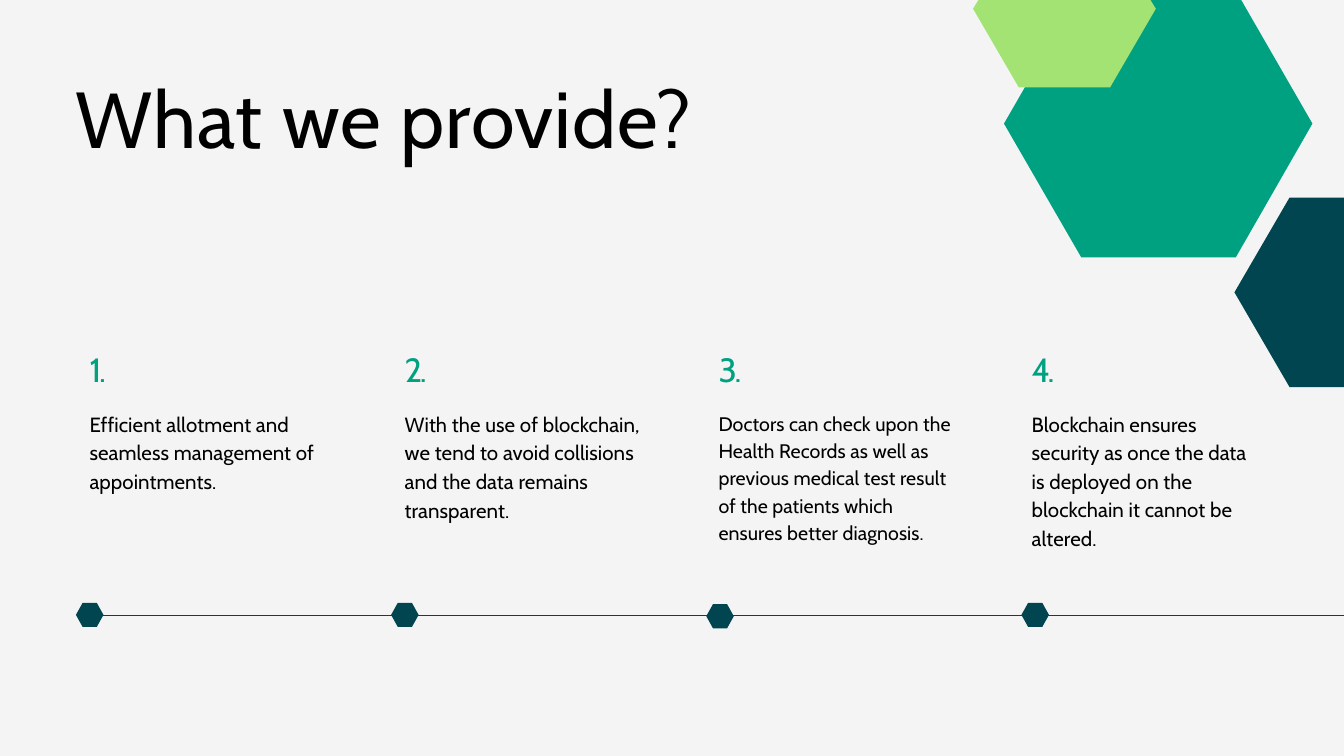
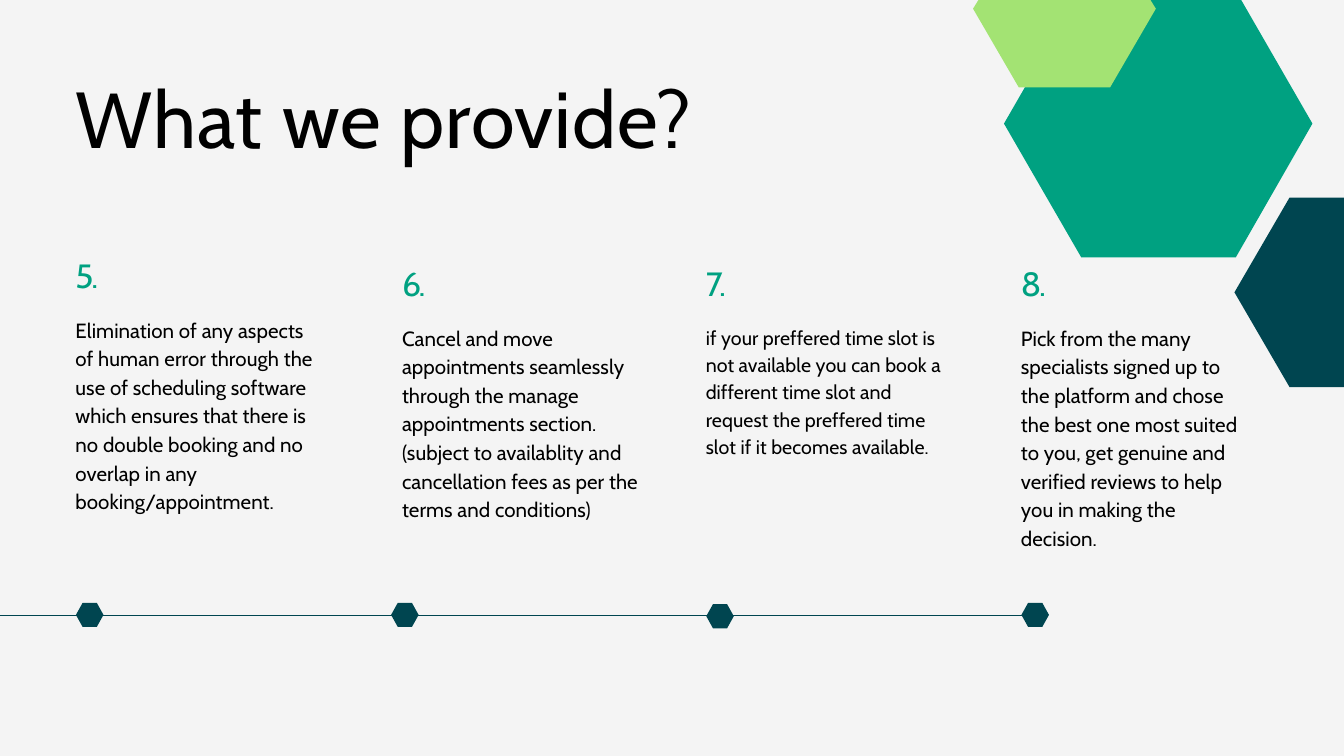
from pptx import Presentation
from pptx.dml.color import RGBColor
from pptx.enum.shapes import MSO_CONNECTOR
from pptx.enum.text import MSO_ANCHOR
from pptx.oxml.ns import qn
from pptx.util import Pt
from lxml.etree import SubElement

COLORS = {
    "background": "F4F4F4",
    "text": "000000",
    "green": "00A181",
    "navy": "004550",
    "lime": "A3E373",
}
FONT = "Cabin"
SPACING = {"title": 1.1, "number": -2.5, "body": 0.1}
WIDTH, HEIGHT = 1440, 810
TITLE = "What we provide?"
TITLE_BOX = (79.92, 72.72, 677.52, 103.68)

SLIDES = [
    {
        "timeline": (100.8, WIDTH),
        "items": [
            ("1.", "Efficient allotment and seamless management of appointments.",
             (95.04, 372.96, 254.16, 157.68), 22),
            ("2.", "With the use of blockchain, we tend to avoid collisions "
             "and the data remains transparent.",
             (432.72, 372.96, 257.76, 187.92), 22),
            ("3.", "Doctors can check upon the Health Records as well as previous "
             "medical test result of the patients which ensures better diagnosis.",
             (768.96, 372.96, 257, 211.68), 21),
            ("4.", "Blockchain ensures security as once the data is deployed on "
             "the blockchain it cannot be altered.",
             (1104.48, 372.96, 245, 218.88), 22),
        ],
    },
    {
        "timeline": (0, 1103.04),
        "items": [
            ("5.", "Elimination of any aspects of human error through the use of "
             "scheduling software which ensures that there is no double booking "
             "and no overlap in any booking/appointment.",
             (79.92, 272.16, 264.96, 280.8), 22),
            ("6.", "Cancel and move appointments seamlessly through the manage "
             "appointments section. (subject to availablity and cancellation "
             "fees as per the terms and conditions)",
             (429.84, 280.8, 257.04, 280.8), 22),
            ("7.", "if your preffered time slot is not available you can book a "
             "different time slot and request the preffered time slot if it "
             "becomes available.",
             (755.28, 280.8, 264.96, 211.68), 21),
            ("8.", "Pick from the many specialists signed up to the platform and "
             "chose the best one most suited to you, get genuine and verified "
             "reviews to help you in making the decision.",
             (1092.96, 280.8, 244, 311.04), 22),
        ],
    },
]

TIMELINE_Y = 659.52
MARKER_LEFT, MARKER_STEP = 81.36, 337.68
MARKER_TOPS = (645.84, 645.84, 647.28, 645.84)
MARKER_OUTLINE = [(29.52, 12.96), (22.32, 0), (7.2, 0),
                  (0, 12.96), (7.2, 25.92), (22.32, 25.92)]

CORNER_HEXAGONS = [
    ("navy", [(1440, 414.72), (1381.68, 414.72), (1322.64, 313.2),
              (1381.68, 211.68), (1440, 211.68)]),
    ("green", [(1324.08, 275.76), (1158.48, 275.76), (1075.68, 132.48),
               (1152, 0), (1329.84, 0), (1406.16, 132.48)]),
    ("lime", [(1189.44, 93.6), (1091.52, 93.6), (1042.56, 9.36),
              (1048.32, 0), (1232.64, 0), (1238.4, 9.36)]),
]


def color(name):
    return RGBColor.from_string(COLORS[name])


def add_outlines(slide, outlines, name):
    builder = None
    for outline in outlines:
        start, *others = [(Pt(x), Pt(y)) for x, y in outline]
        if builder is None:
            builder = slide.shapes.build_freeform(*start)
        else:
            builder.move_to(*start)
        builder.add_line_segments(others, close=True)
    shape = builder.convert_to_shape()
    shape.shadow.inherit = False
    shape.fill.solid()
    shape.fill.fore_color.rgb = color(name)
    shape.line.fill.background()


def write(paragraph, text, size, name, role):
    paragraph.text = text
    paragraph.font.name = FONT
    paragraph.font.size = Pt(size)
    paragraph.font.color.rgb = color(name)
    properties = paragraph.runs[0]._r.get_or_add_rPr()
    properties.set("spc", str(round(SPACING[role] * 100)))


def add_text(slide, box, text, size, name, role):
    frame = slide.shapes.add_textbox(*map(Pt, box)).text_frame
    frame.word_wrap = True
    frame.vertical_anchor = MSO_ANCHOR.TOP
    frame.margin_left = frame.margin_top = Pt(0.9)
    frame.margin_right = frame.margin_bottom = 0
    write(frame.paragraphs[0], text, size, name, role)
    return frame


def add_item(slide, number, text, box, size):
    frame = add_text(slide, box, number, 36, "green", "number")
    paragraph = frame.add_paragraph()
    paragraph.space_before = Pt(20)
    paragraph.line_spacing = 1.16
    write(paragraph, text, size, "text", "body")


def add_timeline(slide, start, end):
    line = slide.shapes.add_connector(
        MSO_CONNECTOR.STRAIGHT, Pt(start), Pt(TIMELINE_Y), Pt(end), Pt(TIMELINE_Y))
    line.line.color.rgb = color("navy")
    line.line.width = Pt(1.5)
    SubElement(line._element.spPr, qn("a:effectLst"))
    markers = [
        [(MARKER_LEFT + index * MARKER_STEP + x, top + y) for x, y in MARKER_OUTLINE]
        for index, top in enumerate(MARKER_TOPS)
    ]
    add_outlines(slide, markers, "navy")


def main():
    presentation = Presentation()
    presentation.slide_width, presentation.slide_height = Pt(WIDTH), Pt(HEIGHT)
    background = presentation.slide_master.background.fill
    background.solid()
    background.fore_color.rgb = color("background")
    for content in SLIDES:
        slide = presentation.slides.add_slide(presentation.slide_layouts[6])
        add_timeline(slide, *content["timeline"])
        for item in content["items"]:
            add_item(slide, *item)
        add_text(slide, TITLE_BOX, TITLE, 85, "text", "title")
        for name, outline in CORNER_HEXAGONS:
            add_outlines(slide, [outline], name)
    presentation.save("out.pptx")


if __name__ == "__main__":
    main()
